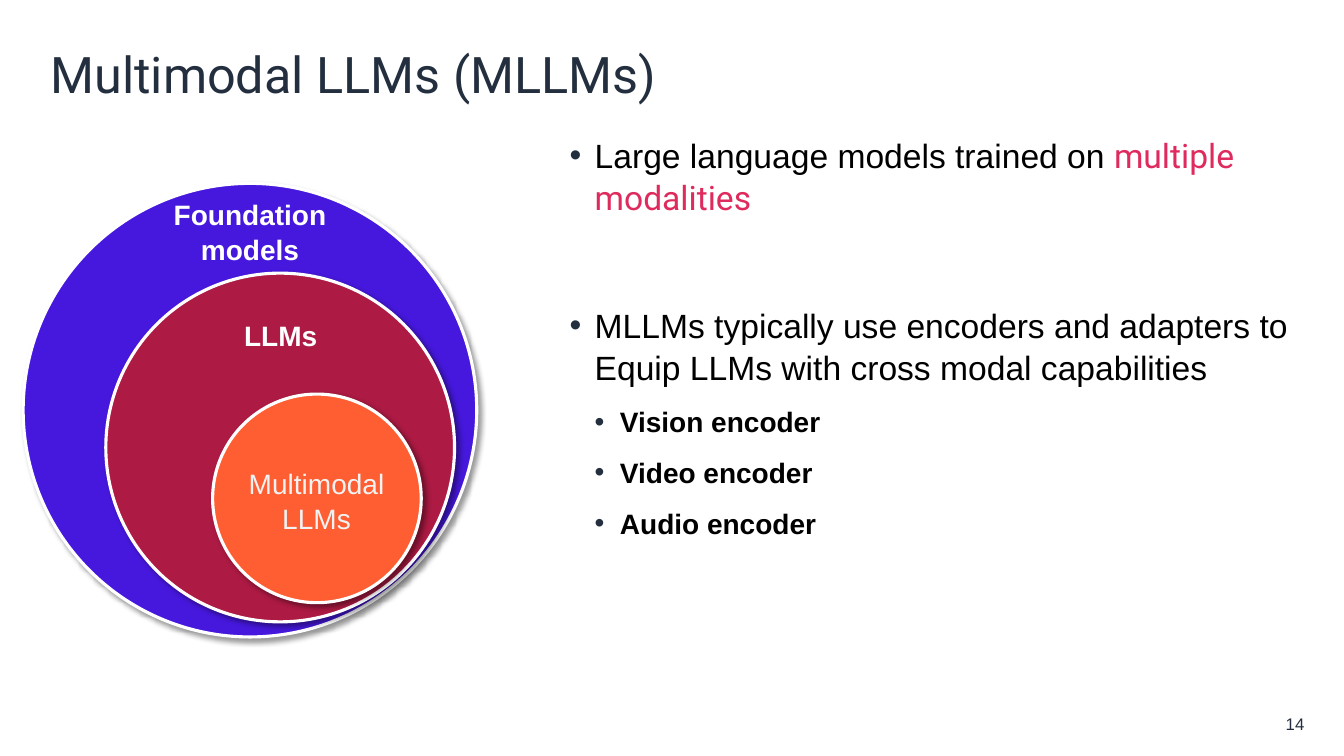
"""Build the slide that introduces multimodal LLMs with nested circles and a list."""
from dataclasses import dataclass

import lxml.etree
import pptx
import pptx.dml.color
import pptx.enum.shapes
import pptx.enum.text
import pptx.oxml.ns
import pptx.util

Pt = pptx.util.Pt
Align = pptx.enum.text.PP_ALIGN
Anchor = pptx.enum.text.MSO_ANCHOR
qn = pptx.oxml.ns.qn


@dataclass(frozen=True)
class Theme:
    ink: str = "232F3E"
    black: str = "000000"
    white: str = "FFFFFF"
    pale: str = "F1F3F3"
    accent: str = "DF2A5D"
    foundation: str = "4618DD"
    language: str = "AD1A43"
    multimodal: str = "FF5D32"
    text_font: str = "Arial"
    heading_font: str = "Roboto"
    title_size: float = 36
    point_size: float = 24
    detail_size: float = 20
    number_size: float = 12
    line_spacing: float = 1.05


@dataclass(frozen=True)
class Box:
    left: float
    top: float
    width: float
    height: float


@dataclass(frozen=True)
class ModelFamily:
    name: str
    circle: Box
    fill: str
    label: Box
    label_color: str
    bold: bool = True


@dataclass(frozen=True)
class Point:
    text: str
    emphasis: str = ""
    level: int = 0
    space_before: float = 10


THEME = Theme()
FAMILIES = [
    ModelFamily("Foundation models", Box(16.56, 131, 324, 324), THEME.foundation,
                Box(85.7, 136, 185.8, 32), THEME.white),
    ModelFamily("LLMs", Box(75.6, 195.1, 249.1, 249.1), THEME.language,
                Box(119.5, 222.5, 162, 32), THEME.white),
    ModelFamily("Multimodal LLMs", Box(151.9, 281.5, 149, 149), THEME.multimodal,
                Box(162, 328.3, 128.2, 55.4), THEME.pale, bold=False),
]
POINTS = [
    Point("Large language models trained on ", emphasis="multiple modalities"),
    Point("MLLMs typically use encoders and adapters to Equip LLMs with cross modal capabilities",
          space_before=55),
    Point("Vision encoder", level=1, space_before=5),
    Point("Video encoder", level=1, space_before=5),
    Point("Audio encoder", level=1, space_before=5),
]


def rgb(color: str) -> pptx.dml.color.RGBColor:
    return pptx.dml.color.RGBColor.from_string(color)


def place(shape, box: Box) -> None:
    shape.left, shape.top = Pt(box.left), Pt(box.top)
    shape.width, shape.height = Pt(box.width), Pt(box.height)


def format_run(run, size: float, color: str, font: str = THEME.text_font,
               bold: bool = False) -> None:
    run.font.size, run.font.name, run.font.bold = Pt(size), font, bold
    run.font.color.rgb = rgb(color)


def add_label(slide, text: str, box: Box, size: float, color: str, bold: bool = False):
    label = slide.shapes.add_textbox(Pt(box.left), Pt(box.top), Pt(box.width), Pt(box.height))
    frame = label.text_frame
    frame.word_wrap = True
    frame.text = text
    paragraph = frame.paragraphs[0]
    paragraph.alignment = Align.CENTER
    paragraph.line_spacing = THEME.line_spacing
    format_run(paragraph.runs[0], size, color, bold=bold)
    return frame


def add_shadow(shape) -> None:
    shape.shadow.inherit = False
    effects = shape._element.spPr.find(qn("a:effectLst"))
    shadow = lxml.etree.SubElement(
        effects, qn("a:outerShdw"), blurRad=str(Pt(4)), dist=str(Pt(3)),
        dir=str(45 * 60000), algn="tl", rotWithShape="0")
    color = lxml.etree.SubElement(shadow, qn("a:srgbClr"), val=THEME.black)
    lxml.etree.SubElement(color, qn("a:alpha"), val="40000")


def add_family(slide, family: ModelFamily) -> None:
    box = family.circle
    circle = slide.shapes.add_shape(pptx.enum.shapes.MSO_SHAPE.OVAL, Pt(box.left), Pt(box.top),
                                    Pt(box.width), Pt(box.height))
    circle.fill.solid()
    circle.fill.fore_color.rgb = rgb(family.fill)
    circle.line.color.rgb = rgb(THEME.white)
    circle.line.width = Pt(2.25)
    add_shadow(circle)
    add_label(slide, family.name, family.label, THEME.detail_size, family.label_color, family.bold)


def set_bullet(paragraph, level: int) -> None:
    properties = paragraph._p.get_or_add_pPr()
    properties.set("marL", str(Pt(18 * (level + 1))))
    properties.set("indent", str(-Pt(18)))
    color = lxml.etree.SubElement(properties, qn("a:buClr"))
    lxml.etree.SubElement(color, qn("a:srgbClr"), val=THEME.ink)
    lxml.etree.SubElement(properties, qn("a:buFont"), typeface=THEME.text_font)
    lxml.etree.SubElement(properties, qn("a:buChar"), char="•")


def write_point(paragraph, point: Point) -> None:
    detail = point.level > 0
    size = THEME.detail_size if detail else THEME.point_size
    paragraph.text = point.text
    paragraph.level = point.level
    paragraph.alignment = Align.LEFT
    paragraph.line_spacing = THEME.line_spacing
    paragraph.space_before, paragraph.space_after = Pt(point.space_before), Pt(6)
    set_bullet(paragraph, point.level)
    format_run(paragraph.runs[0], size, THEME.black, bold=detail)
    if point.emphasis:
        emphasis = paragraph.add_run()
        emphasis.text = point.emphasis
        format_run(emphasis, size, THEME.accent, THEME.heading_font)


def write_title(title, text: str) -> None:
    place(title, Box(28.8, 23.8, 902.9, 57.6))
    frame = title.text_frame
    frame.text = text
    frame.vertical_anchor = Anchor.MIDDLE
    frame.auto_size = pptx.enum.text.MSO_AUTO_SIZE.NONE
    frame.paragraphs[0].alignment = Align.LEFT
    format_run(frame.paragraphs[0].runs[0], THEME.title_size, THEME.ink, THEME.heading_font)


def write_body(body, points: list[Point]) -> None:
    place(body, Box(399.6, 91.4, 532.1, 414.7))
    frame = body.text_frame
    frame.auto_size = pptx.enum.text.MSO_AUTO_SIZE.NONE
    for index, point in enumerate(points):
        write_point(frame.add_paragraph() if index else frame.paragraphs[0], point)


def add_slide_number(slide, number: str) -> None:
    frame = add_label(slide, number, Box(893.5, 507.6, 38.2, 18), THEME.number_size, THEME.ink)
    frame.margin_left = frame.margin_right = frame.margin_top = frame.margin_bottom = 0
    frame.vertical_anchor = Anchor.MIDDLE
    frame.paragraphs[0].alignment = Align.RIGHT


def main() -> None:
    deck = pptx.Presentation()
    deck.slide_width, deck.slide_height = Pt(960), Pt(540)
    slide = deck.slides.add_slide(deck.slide_layouts[1])
    write_title(slide.shapes.title, "Multimodal LLMs (MLLMs)")
    write_body(slide.placeholders[1], POINTS)
    for family in FAMILIES:
        add_family(slide, family)
    add_slide_number(slide, "14")
    deck.save("out.pptx")


if __name__ == "__main__":
    main()
